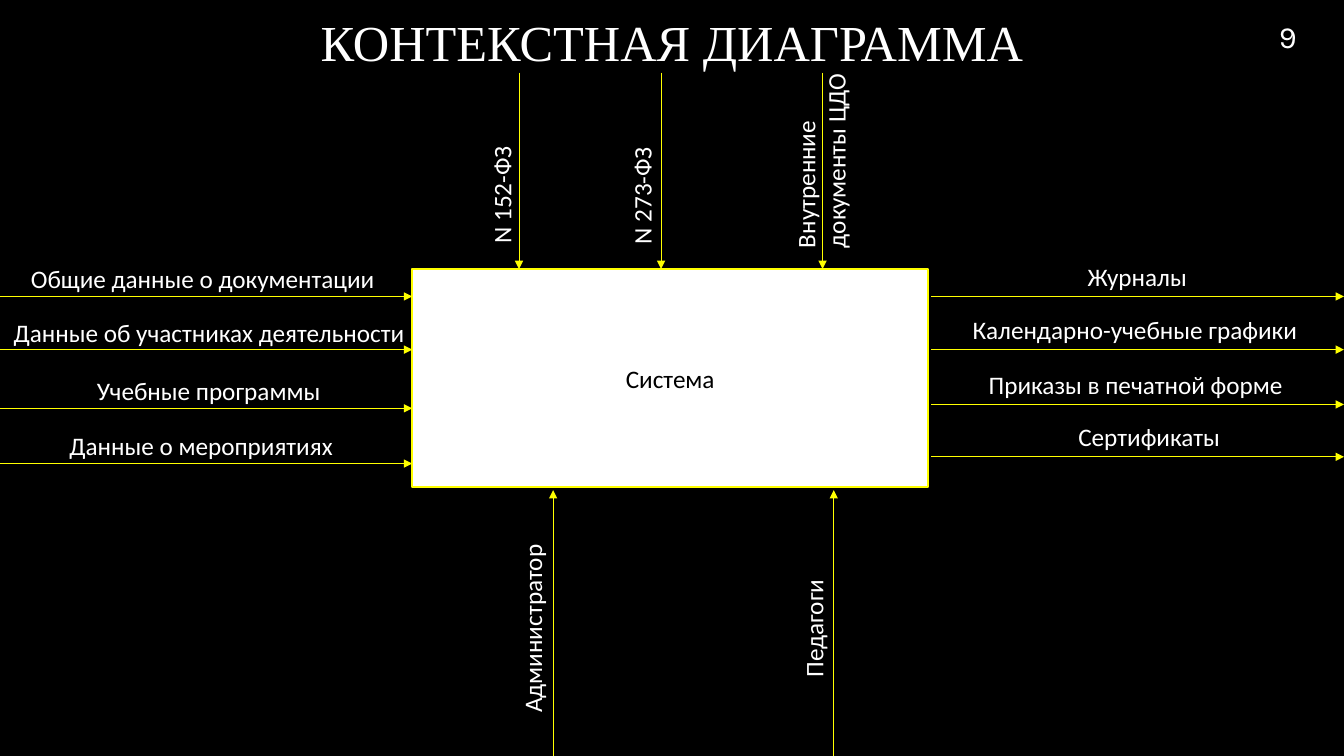
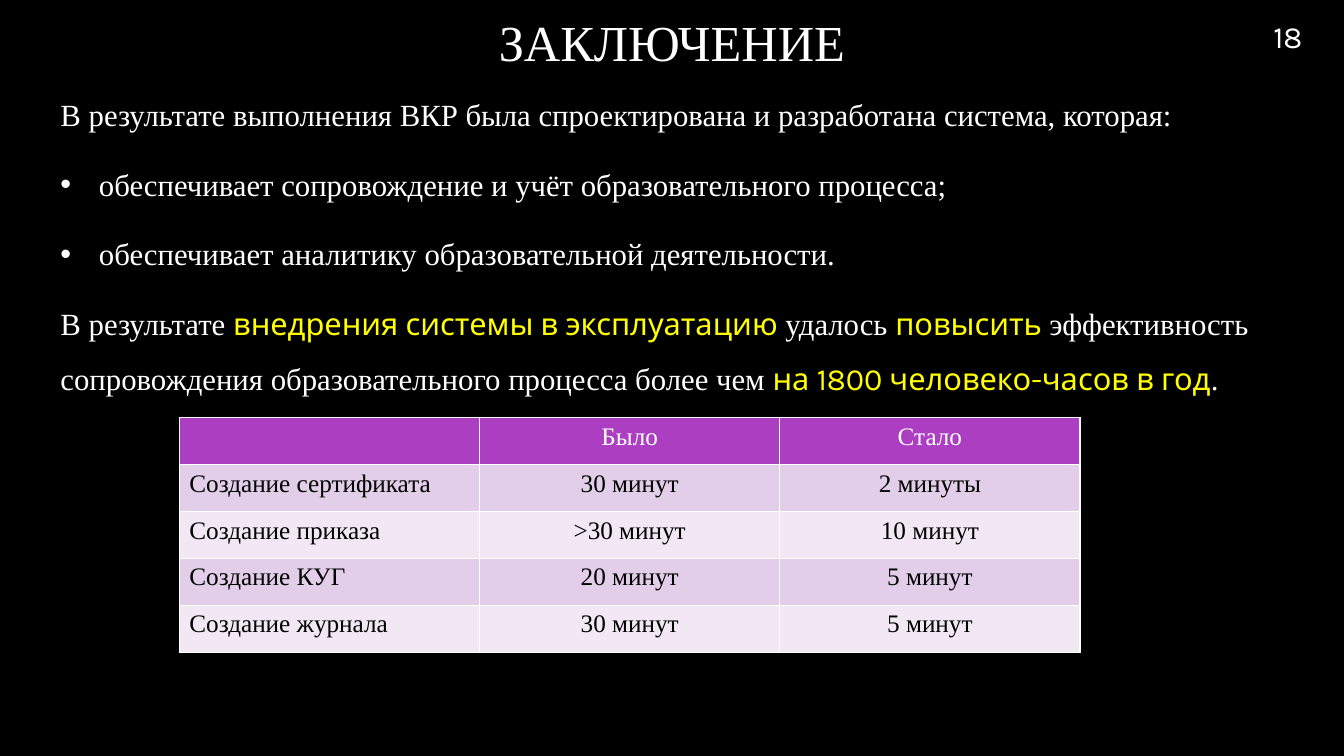
from lxml import etree
from pptx import Presentation
from pptx import util as u
from pptx.dml.color import RGBColor
from pptx.enum import shapes, text
from pptx.oxml.ns import qn

COLORS = {
    "black": "000000", "white": "FFFFFF", "yellow": "FFFF00",
    "header": "AC3EC1", "band_dark": "E3CEE9", "band_light": "F1E8F4",
}
STYLES = {
    "title": {"size": u.Pt(36), "name": "Times New Roman", "bold": False},
    "body": {"size": u.Pt(22), "name": "Times New Roman", "bold": False},
    "accent": {"size": u.Pt(22), "name": "Karla", "bold": False},
    "label": {"size": u.Pt(18), "name": "Calibri", "bold": False},
    "cell": {"size": u.Pt(18), "name": "Times New Roman", "bold": False},
}
WIDTH, HEIGHT = 33.87, 19.05
LABEL_HEIGHT = 1.02
SYSTEM_BOX = (10.39, 6.78, 13, 5.49)
ARROW_GAP = 0.08
CENTER, LEFT = text.PP_ALIGN.CENTER, text.PP_ALIGN.LEFT

# Flows: label, line height on the slide, label centre
INPUTS = [
    ("Общие данные о документации", 7.47, 5.11),
    ("Данные об участниках деятельности", 8.81, 5.27),
    ("Учебные программы", 10.29, 5.26),
    ("Данные о мероприятиях", 11.68, 5.07),
]
OUTPUTS = [
    ("Журналы", 7.47, 28.66),
    ("Календарно-учебные графики", 8.81, 28.6),
    ("Приказы в печатной форме", 10.19, 28.62),
    ("Сертификаты", 11.51, 28.96),
]
# Flows: label, line x, label centre x, label bottom, label length, label lines
CONTROLS = [
    ("N 152-ФЗ", 13.08, 12.64, 6.39, 3.4, 1),
    ("N 273-ФЗ", 16.66, 16.17, 6.41, 3.4, 1),
    ("Внутренние документы ЦДО", 20.73, 20.69, 6.5, 5.1, 2),
]
MECHANISMS = [
    ("Администратор", 13.94, 13.41, 18.21, 5, 1),
    ("Педагоги", 21.01, 20.5, 17.32, 3.2, 1),
]
# Paragraphs: bulleted or not, then runs of (text, style, colour)
CONCLUSION = [
    (False, [("В результате выполнения ВКР была спроектирована и разработана "
              "система, которая:", "body", "white")]),
    (True, [("обеспечивает сопровождение и учёт образовательного процесса;",
             "body", "white")]),
    (True, [("обеспечивает аналитику образовательной деятельности.",
             "body", "white")]),
    (False, [("В результате ", "body", "white"),
             ("внедрения системы в эксплуатацию ", "accent", "yellow"),
             ("удалось ", "body", "white"),
             ("повысить ", "accent", "yellow"),
             ("эффективность сопровождения образовательного процесса "
              "более чем ", "body", "white"),
             ("на 1800 человеко-часов в год", "accent", "yellow"),
             (".", "body", "white")]),
]
SAVINGS = [
    ("", "Было", "Стало"),
    ("Создание сертификата", "30 минут", "2 минуты"),
    ("Создание приказа", ">30 минут", "10 минут"),
    ("Создание КУГ", "20 минут", "5 минут"),
    ("Создание журнала", "30 минут", "5 минут"),
]


def rgb(color):
    return RGBColor.from_string(COLORS[color])


def cm(*lengths):
    return [u.Cm(length) for length in lengths]


def add_run(paragraph, words, style, color):
    run = paragraph.add_run()
    run.text = words
    for attribute, value in STYLES[style].items():
        setattr(run.font, attribute, value)
    run.font.color.rgb = rgb(color)


def write(frame, words, style, color, align=CENTER,
          anchor=text.MSO_ANCHOR.MIDDLE):
    frame.word_wrap = True
    frame.vertical_anchor = anchor
    frame.paragraphs[0].alignment = align
    add_run(frame.paragraphs[0], words, style, color)


def place(shape, box):
    for side, length in zip(("left", "top", "width", "height"), cm(*box)):
        setattr(shape, side, length)


def add_text(slide, box, words, style, align=CENTER,
             anchor=text.MSO_ANCHOR.TOP):
    label = slide.shapes.add_textbox(*cm(*box))
    write(label.text_frame, words, style, "white", align, anchor)
    return label


def add_arrow(slide, x1, y1, x2, y2):
    arrow = slide.shapes.add_connector(
        shapes.MSO_CONNECTOR.STRAIGHT, *cm(x1, y1, x2, y2))
    arrow.line.color.rgb = rgb("yellow")
    arrow.line.width = u.Pt(0.75)
    properties = arrow.element.spPr
    etree.SubElement(properties.find(qn("a:ln")), qn("a:tailEnd"),
                     type="triangle")
    etree.SubElement(properties, qn("a:effectLst"))


def add_heading(slide, heading, number):
    """Title and page number, the same on every slide."""
    place(slide.shapes.title, (0, 0, WIDTH, 2.08))
    frame = slide.shapes.title.text_frame
    frame.auto_size = text.MSO_AUTO_SIZE.NONE
    write(frame, heading, "title", "white")
    add_text(slide, (31.04, 0, 2.83, 1.83), number, "accent",
             anchor=text.MSO_ANCHOR.MIDDLE)


def add_system(slide, box):
    system = slide.shapes.add_shape(shapes.MSO_SHAPE.RECTANGLE, *cm(*box))
    system.shadow.inherit = False
    system.fill.solid()
    system.fill.fore_color.rgb = rgb("white")
    system.line.color.rgb = rgb("yellow")
    system.line.width = u.Pt(1.5)
    write(system.text_frame, "Система", "label", "black")


def add_side_flows(slide, flows, start, end, rise):
    """Horizontal arrows with a label above each."""
    label_width = 10.6
    for words, y, center in flows:
        add_arrow(slide, start, y, end, y)
        add_text(slide, (center - label_width / 2, y - rise,
                         label_width, LABEL_HEIGHT), words, "label")


def add_upright_flows(slide, flows, start, end):
    """Vertical arrows with labels that read upwards."""
    for words, x, center, bottom, length, lines in flows:
        add_arrow(slide, x, start, x, end)
        height = LABEL_HEIGHT + 0.78 * (lines - 1)
        label = add_text(slide, (center - length / 2,
                                 bottom - (length + height) / 2,
                                 length, height), words, "label", LEFT)
        label.rotation = 270


def add_conclusion(body, box):
    place(body, box)
    frame = body.text_frame
    frame.auto_size = text.MSO_AUTO_SIZE.NONE
    frame.vertical_anchor = text.MSO_ANCHOR.TOP
    spacing = {"alignment": LEFT, "line_spacing": 1.5,
               "space_before": u.Pt(0), "space_after": u.Pt(10)}
    for index, (bulleted, runs) in enumerate(CONCLUSION):
        paragraph = frame.add_paragraph() if index else frame.paragraphs[0]
        for attribute, value in spacing.items():
            setattr(paragraph, attribute, value)
        for run in runs:
            add_run(paragraph, *run)
        # Indents and bullets
        properties = paragraph._p.get_or_add_pPr()
        margin, indent = (2.24, -0.97) if bulleted else (1.27, 0)
        properties.set("marL", str(u.Cm(margin)))
        properties.set("indent", str(u.Cm(indent)))
        if bulleted:
            bullet_color = etree.SubElement(properties, qn("a:buClr"))
            etree.SubElement(bullet_color, qn("a:srgbClr"),
                             val=COLORS["white"])
            etree.SubElement(properties, qn("a:buFont"), typeface="Arial")
            etree.SubElement(properties, qn("a:buChar"), char="•")
        else:
            etree.SubElement(properties, qn("a:buNone"))


def add_savings(slide, box):
    savings = slide.shapes.add_table(
        len(SAVINGS), len(SAVINGS[0]), *cm(*box)).table
    for r, row in enumerate(SAVINGS):
        band = "header" if r == 0 else "band_dark" if r % 2 else "band_light"
        for c, words in enumerate(row):
            cell = savings.cell(r, c)
            cell.fill.solid()
            cell.fill.fore_color.rgb = rgb(band)
            if words:
                paragraph = cell.text_frame.paragraphs[0]
                paragraph.alignment = CENTER if c else LEFT
                add_run(paragraph, words, "cell", "black" if r else "white")


def build_context_slide(prs):
    slide = prs.slides.add_slide(prs.slide_layouts.get_by_name("Title Only"))
    add_heading(slide, "КОНТЕКСТНАЯ ДИАГРАММА", "9")
    add_system(slide, SYSTEM_BOX)
    left, top, width, height = SYSTEM_BOX
    add_side_flows(slide, INPUTS, 0, left, 0.95)
    add_side_flows(slide, OUTPUTS, left + width + ARROW_GAP, WIDTH, 1.02)
    add_upright_flows(slide, CONTROLS, 1.83, top)
    add_upright_flows(slide, MECHANISMS, HEIGHT, top + height + ARROW_GAP)


def build_conclusion_slide(prs):
    slide = prs.slides.add_slide(
        prs.slide_layouts.get_by_name("Title and Content"))
    add_heading(slide, "ЗАКЛЮЧЕНИЕ", "18")
    add_conclusion(slide.placeholders[1], (0, 1.83, WIDTH, 15.52))
    add_savings(slide, (4.52, 10.52, 22.7, 5.92))


def main():
    prs = Presentation()
    prs.slide_width, prs.slide_height = cm(WIDTH, HEIGHT)
    background = prs.slide_master.background.fill
    background.solid()
    background.fore_color.rgb = rgb("black")
    build_context_slide(prs)
    build_conclusion_slide(prs)
    prs.save("out.pptx")


if __name__ == "__main__":
    main()
